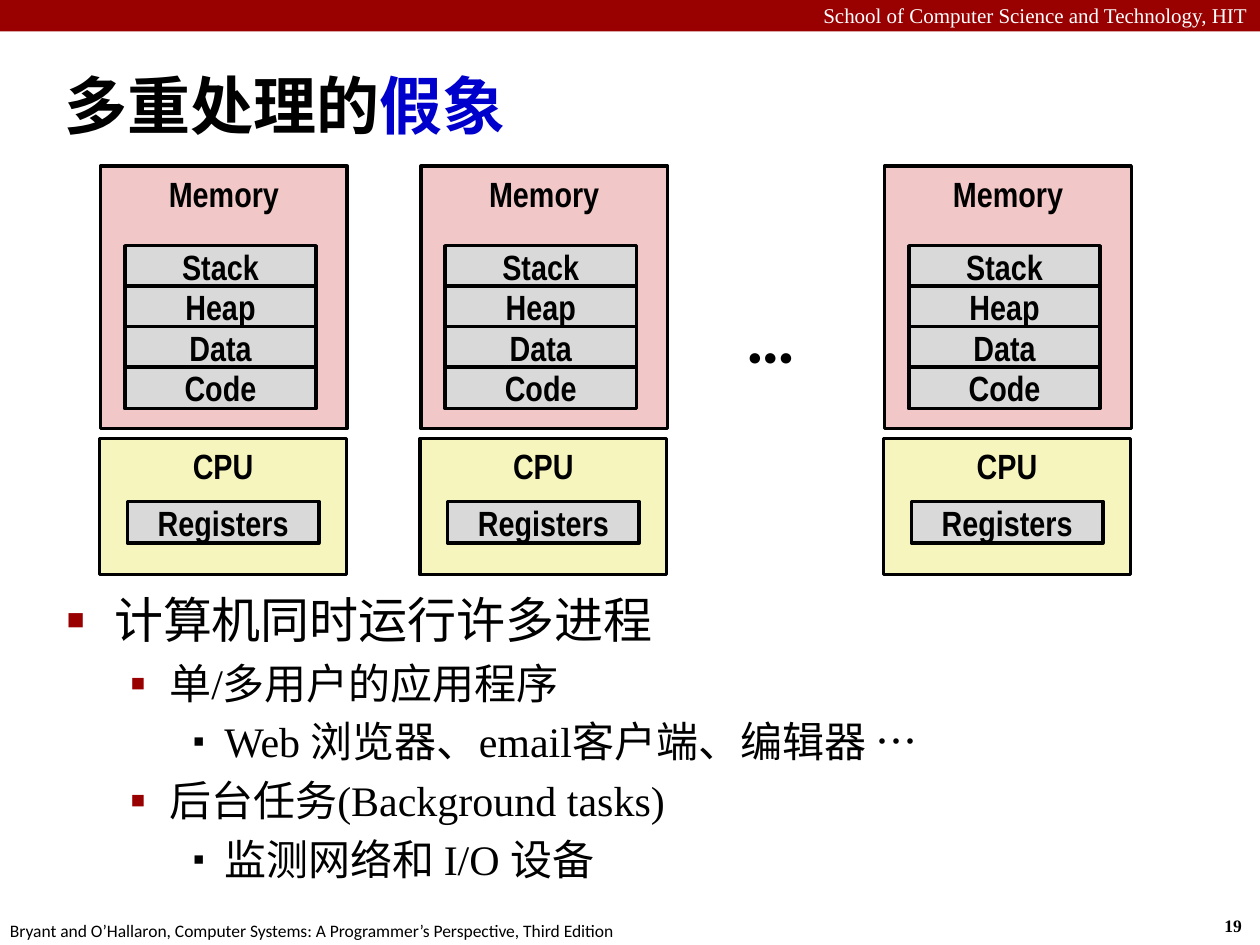
from lxml import etree
from pptx import Presentation
from pptx.dml.color import RGBColor
from pptx.enum.shapes import MSO_SHAPE
from pptx.enum.text import MSO_ANCHOR, MSO_AUTO_SIZE, PP_ALIGN
from pptx.oxml.ns import qn
from pptx.util import Pt

RECT = MSO_SHAPE.RECTANGLE
TOP, MIDDLE = MSO_ANCHOR.TOP, MSO_ANCHOR.MIDDLE
LEFT, CENTER, RIGHT = PP_ALIGN.LEFT, PP_ALIGN.CENTER, PP_ALIGN.RIGHT

THEME = {
    "red": "990000", "blue": "0000CC", "black": "000000", "white": "FFFFFF",
    "memory": "F1C7C7", "cpu": "F6F5BD", "part": "D9D9D9",
    "serif": "Times New Roman", "sans": "Calibri", "narrow": "Arial Narrow",
    "title": 36, "levels": (28, 24, 24), "box": 20, "dots": 40, "header": 12, "footer": 10,
}


def add_run(paragraph, text, face, size, color="black", bold=False):
    run = paragraph.add_run()
    run.text = text
    settings = {"name": THEME[face], "size": Pt(size), "bold": bold}
    for attribute, value in settings.items():
        setattr(run.font, attribute, value)
    run.font.color.rgb = RGBColor.from_string(THEME[color])


def add_box(left, top, width, height, fill, label="", anchor=MIDDLE):
    """Add a filled rectangle; a labelled one also gets a black outline."""
    box = slide.shapes.add_shape(RECT, Pt(left), Pt(top), Pt(width), Pt(height))
    box.shadow.inherit = False
    box.fill.solid()
    box.fill.fore_color.rgb = RGBColor.from_string(THEME[fill])
    if not label:
        box.line.fill.background()
        return
    box.line.color.rgb = RGBColor.from_string(THEME["black"])
    box.line.width = Pt(2)
    box.text_frame.vertical_anchor = anchor
    paragraph = box.text_frame.paragraphs[0]
    paragraph.alignment = CENTER
    add_run(paragraph, label, "narrow", THEME["box"], bold=True)


prs = Presentation()
prs.slide_width, prs.slide_height = Pt(720), Pt(540)
slide = prs.slides.add_slide(prs.slide_layouts[1])
title, body = slide.shapes.title, slide.placeholders[1]

# Header band
add_box(0, 0, 720, 18, "red")

# Title
title.left, title.top, title.width, title.height = Pt(29.5), Pt(29.5), Pt(684.7), Pt(59.8)
title.text_frame.vertical_anchor = MIDDLE
title.text_frame.auto_size = MSO_AUTO_SIZE.NONE
heading = title.text_frame.paragraphs[0]
heading.alignment = LEFT
heading_props = heading._p.get_or_add_pPr()
heading_props.set("marL", str(Pt(9)))
heading_props.set("indent", str(Pt(-9)))
add_run(heading, "多重处理的", "sans", THEME["title"], bold=True)
add_run(heading, "假象", "sans", THEME["title"], "blue", bold=True)

# Bulleted list
body.left, body.top, body.width, body.height = Pt(31), Pt(333.4), Pt(676.8), Pt(188.6)
body.text_frame.vertical_anchor = TOP
body.text_frame.auto_size = MSO_AUTO_SIZE.NONE
# left margin, hanging indent, bullet colour, bullet size in percent, bullet
LEVELS = (
    (27, 27, "red", 60, "■"),
    (58.5, 22.5, "red", 110, "▪"),
    (90, 18, "black", 80, "▪"),
)
ITEMS = (
    (0, "计算机同时运行许多进程"),
    (1, "单/多用户的应用程序"),
    (2, "Web 浏览器、email客户端、编辑器 …"),
    (1, "后台任务(Background tasks)"),
    (2, "监测网络和 I/O 设备"),
)
for index, (level, text) in enumerate(ITEMS):
    item = body.text_frame.add_paragraph() if index else body.text_frame.paragraphs[0]
    margin, hanging, color, percent, bullet = LEVELS[level]
    size = THEME["levels"][level]
    item.level = level
    item.space_before = Pt(size * 0.2 if index else 0)
    props = item._p.get_or_add_pPr()
    props.set("marL", str(Pt(margin)))
    props.set("indent", str(Pt(-hanging)))
    bullet_color = etree.SubElement(props, qn("a:buClr"))
    etree.SubElement(bullet_color, qn("a:srgbClr"), val=THEME[color])
    etree.SubElement(props, qn("a:buSzPct"), val=str(percent * 1000))
    etree.SubElement(props, qn("a:buChar"), char=bullet)
    add_run(item, text, "serif", size)

# One memory and one CPU per process
for process_left in (57, 240, 505):
    add_box(process_left, 250.6, 141, 77.8, "cpu", "CPU", TOP)
    add_box(process_left + 15.8, 286.6, 109.4, 23.8, "part", "Registers")
    add_box(process_left + 0.5, 95, 141, 149.8, "memory", "Memory", TOP)
    for row, segment in enumerate(("Stack", "Heap", "Data", "Code")):
        add_box(process_left + 14.3, 140.4 + row * 23.1, 109.4, 23.8, "part", segment)

# Ellipsis between processes, header, page number and source line
CAPTIONS = (
    ("…", (419, 164.2, 56.9, 55.4), "sans", THEME["dots"], "black", True, LEFT, False),
    ("School of Computer Science and Technology, HIT", (0, -2.2, 720, 21.6),
     "serif", THEME["header"], "white", False, RIGHT, True),
    ("19", (692.6, 519.1, 26.6, 19.4), "serif", THEME["footer"], "black", True, LEFT, False),
    ("Bryant and O’Hallaron, Computer Systems: A Programmer’s Perspective, Third Edition",
     (-1.4, 522, 365.8, 19.4), "sans", THEME["footer"], "black", False, LEFT, False),
)
for text, frame, face, size, color, bold, alignment, wrap in CAPTIONS:
    caption = slide.shapes.add_textbox(*map(Pt, frame))
    caption.text_frame.word_wrap = wrap
    line = caption.text_frame.paragraphs[0]
    line.alignment = alignment
    add_run(line, text, face, size, color, bold)

prs.save("out.pptx")
